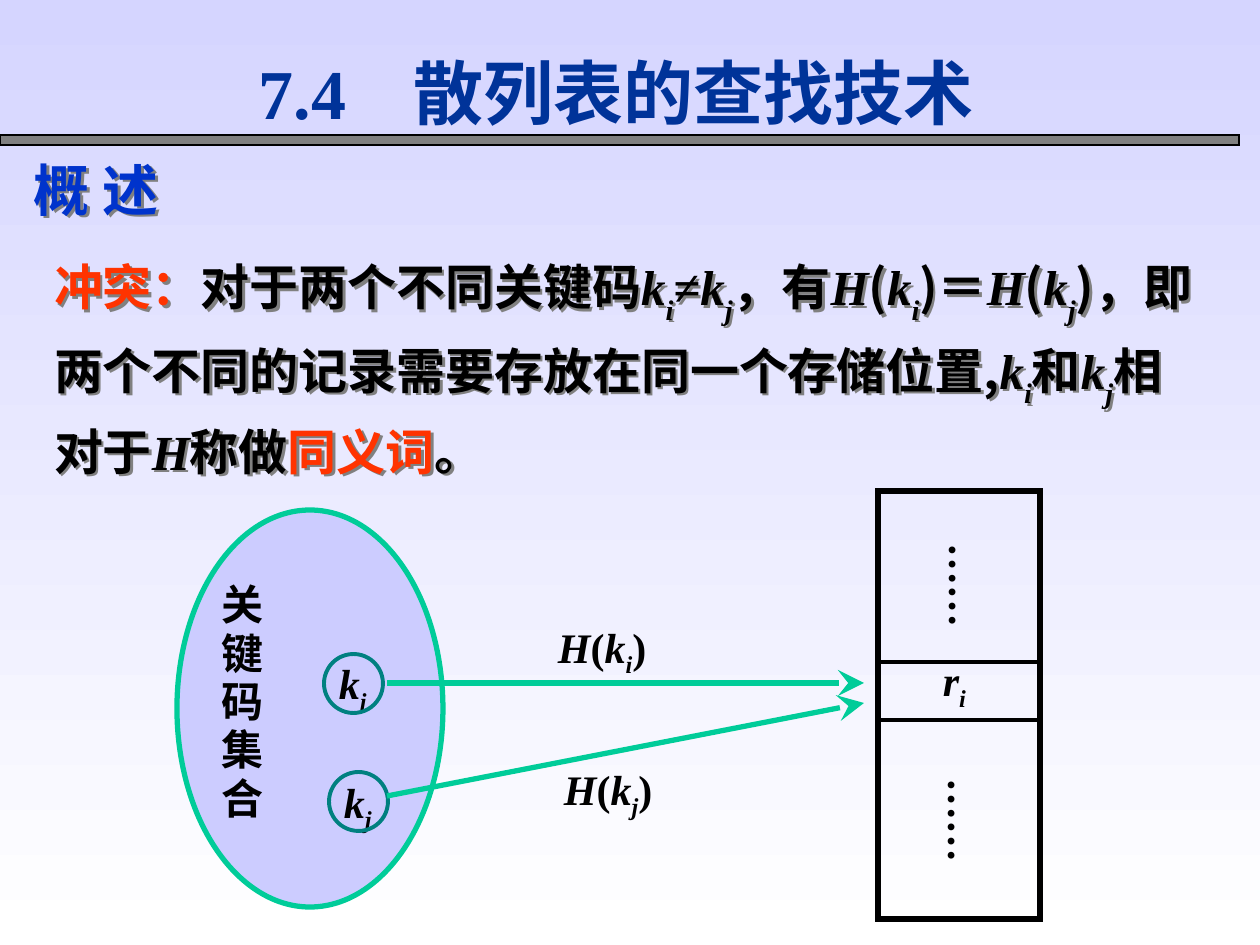
from dataclasses import dataclass

from lxml.etree import SubElement
from pptx import Presentation
from pptx.dml.color import RGBColor
from pptx.enum.shapes import MSO_CONNECTOR as Connector, MSO_SHAPE as Preset
from pptx.enum.text import MSO_ANCHOR as Anchor
from pptx.oxml.ns import qn
from pptx.util import Pt

EMU_PER_PX = 914400 / 126


@dataclass(frozen=True)
class Theme:
    latin: str = "Times New Roman"
    cjk: str = "Noto Sans CJK SC"
    sky: str = "D5D5FF"
    white: str = "FFFFFF"
    black: str = "000000"
    gray: str = "808080"
    title: str = "003399"
    heading: str = "0033CC"
    accent: str = "FF3300"
    green: str = "00CC99"
    teal: str = "008080"
    lilac: str = "CCCCFF"
    title_size: int = 40
    heading_size: int = 32
    body_size: int = 28
    label_size: int = 24


THEME = Theme()


def px(*lengths):
    return [round(length * EMU_PER_PX) for length in lengths]


def rgb(color):
    return RGBColor.from_string(color)


def italic(text):
    return text, {"italic": True}


def indexed(name, index, base=-25):
    """Runs of a variable with a subscript."""
    return [italic(name), (index, {"italic": True, "baseline": base})]


def hash_of(index, base=-25, bracket_font=THEME.latin):
    """Runs of H(k) with k carrying a subscript."""
    bracket = {"latin": bracket_font}
    return [italic("H"), ("(", bracket), *indexed("k", index, base), (")", bracket)]


def add_run(paragraph, text, *, size, color=THEME.black, latin=THEME.latin,
            italic=False, baseline=0):
    run = paragraph.add_run()
    run.text = text
    font = run.font
    font.size, font.bold, font.italic, font.name = Pt(size), True, italic, latin
    font.color.rgb = rgb(color)
    properties = font._element
    if baseline:
        properties.set("baseline", str(baseline * 1000))
    east_asian = SubElement(properties, qn("a:ea"), typeface=THEME.cjk)
    properties.find(qn("a:latin")).addnext(east_asian)


def add_shadow(shape):
    """Give an unfilled box a shadow, which falls from its letters."""
    effects = SubElement(shape._element.spPr, qn("a:effectLst"))
    outer = SubElement(effects, qn("a:outerShdw"), dist="25400", dir="2700000")
    SubElement(outer, qn("a:srgbClr"), val=THEME.gray)


class SlideBuilder:
    def __init__(self, presentation, theme):
        self.theme = theme
        self.slide = presentation.slides.add_slide(presentation.slide_layouts[6])

    def background(self):
        fill = self.slide.background.fill
        fill.gradient()
        fill.gradient_angle = 270
        for stop, color in zip(fill.gradient_stops, (self.theme.sky, self.theme.white)):
            stop.color.rgb = rgb(color)

    def shape(self, preset, box, line, width, fill=None):
        shape = self.slide.shapes.add_shape(preset, *px(*box))
        shape.shadow.inherit = False
        if fill:
            shape.fill.solid()
            shape.fill.fore_color.rgb = rgb(fill)
        else:
            shape.fill.background()
        shape.line.color.rgb = rgb(line)
        shape.line.width = Pt(width)
        SubElement(shape.line._get_or_add_ln(), qn("a:miter"), lim="800000")

    def line(self, start, end, color, width, arrow=False):
        connector = self.slide.shapes.add_connector(
            Connector.STRAIGHT, *px(*start, *end))
        connector.line.color.rgb = rgb(color)
        connector.line.width = Pt(width)
        if arrow:
            SubElement(connector.line._get_or_add_ln(), qn("a:tailEnd"),
                       type="stealth", w="lg", len="lg")
        SubElement(connector._element.spPr, qn("a:effectLst"))

    def text(self, runs, box, *, size=THEME.label_size, insets=(2, 0, 2, 0), spacing=0.96,
             before=0, anchor=Anchor.TOP, vertical=False, shadow=False, tab=None,
             **run_format):
        """Add a text box; runs is a string or a list of (text, format) pairs."""
        shape = self.slide.shapes.add_textbox(*px(*box))
        if shadow:
            add_shadow(shape)
        frame = shape.text_frame
        frame.word_wrap = True
        frame.vertical_anchor = anchor
        (frame.margin_left, frame.margin_top,
         frame.margin_right, frame.margin_bottom) = px(*insets)
        if vertical:
            frame._txBody.bodyPr.set("vert", "eaVert")
        paragraph = frame.paragraphs[0]
        paragraph.line_spacing = spacing
        paragraph.space_before = Pt(before)
        properties = paragraph._p.get_or_add_pPr()
        properties.set("hangingPunct", "0")
        if tab:
            stops = SubElement(properties, qn("a:tabLst"))
            SubElement(stops, qn("a:tab"), pos=str(px(tab)[0]), algn="l")
        for text, extra in [(runs, {})] if isinstance(runs, str) else runs:
            add_run(paragraph, text, **{"size": size, **run_format, **extra})


def add_headings(builder):
    theme, insets = builder.theme, (13, 6, 13, 6)
    builder.shape(Preset.RECTANGLE, (0, 135, 1239, 10), theme.black, 0.75, theme.gray)
    builder.text("7.4\t散列表的查找技术", (246, 44, 757, 95), size=theme.title_size,
                 color=theme.title, insets=insets, spacing=1, anchor=Anchor.MIDDLE,
                 tab=155)
    builder.text("概 述", (21, 149, 882, 81), size=theme.heading_size, latin=theme.cjk,
                 color=theme.heading, insets=insets, spacing=1, before=20, shadow=True)


def add_definition(builder):
    theme = builder.theme
    accent, cjk = {"color": theme.accent}, {"latin": theme.cjk}
    key_i, key_j = indexed("k", "i", -30), indexed("k", "j", -30)
    runs = [
        ("冲突：", accent), ("对于两个不同关键码", {}), *key_i, ("≠", {}), *key_j,
        ("，有", {}), *hash_of("i", -30, theme.cjk), ("＝", {}),
        *hash_of("j", -30, theme.cjk), ("，即两个不同的记录", {}),
        ("需要存放在同一个存储位置,", cjk), *key_i, ("和", {}), *key_j,
        ("相对于", {}), italic("H"), ("称做", {}), ("同义词", accent), ("。", {}),
    ]
    builder.text(runs, (54, 237, 1154, 249), size=theme.body_size, insets=(0, 6, 0, 6),
                 spacing=1.2, before=7, shadow=True)


def add_key_set(builder):
    theme = builder.theme
    builder.shape(Preset.OVAL, (177, 510, 266, 397), theme.green, 3, theme.lilac)
    builder.text("关键码集合", (220, 582, 43, 242))
    for index, left, top in (("i", 324, 654), ("j", 329, 772)):
        builder.text(indexed("k", index), (left + 13, top + 4, 50, 45))
        builder.shape(Preset.OVAL, (left, top, 59, 59), theme.teal, 2.25)


def add_storage(builder):
    theme, left, right = builder.theme, 878, 1040
    builder.shape(Preset.RECTANGLE, (left, 491, right - left, 428), theme.black, 3)
    for y in (662, 720):
        builder.line((left, y), (right, y), theme.black, 2.25)
    for x, y in ((946, 542), (945, 777)):
        builder.text("……", (x, y, 47, 113), insets=(0, 2, 5, 2), vertical=True)
    builder.text(indexed("r", "i"), (941, 655, 60, 50), spacing=1)


def add_hash_arrows(builder):
    color = builder.theme.green
    builder.line((387, 683), (864, 683), color, 3, arrow=True)
    builder.line((387, 796), (864, 703), color, 3, arrow=True)
    builder.text(hash_of("i"), (556, 621, 112, 47))
    builder.text(hash_of("j"), (562, 763, 108, 47))


def main():
    presentation = Presentation()
    presentation.slide_width, presentation.slide_height = px(1260, 945)
    builder = SlideBuilder(presentation, THEME)
    builder.background()
    for add_part in (add_headings, add_definition, add_key_set, add_storage,
                     add_hash_arrows):
        add_part(builder)
    presentation.save("out.pptx")


if __name__ == "__main__":
    main()
